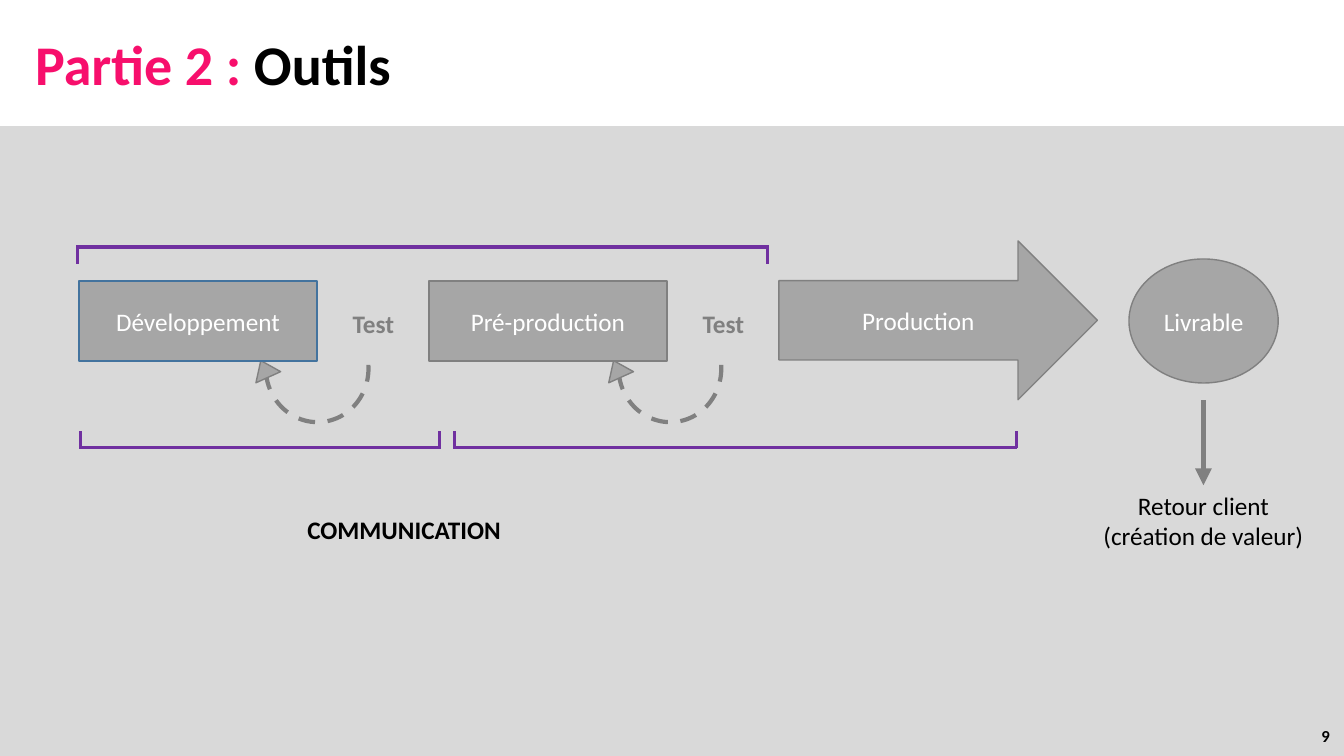
from lxml import etree
from pptx import Presentation
from pptx.dml.color import RGBColor
from pptx.enum import dml, shapes, text
from pptx.oxml.ns import qn
from pptx.util import Pt

COLORS = {"background": "D9D9D9", "box": "A6A6A6", "line": "808080", "dev": "43739E",
          "bracket": "7030A0", "pink": "F70F6C", "white": "FFFFFF", "black": "000000"}
RGB = {name: RGBColor.from_string(value) for name, value in COLORS.items()}
STEP = 250  # from one stage to the next
LOOP_STEP = 252

prs = Presentation()
prs.slide_width, prs.slide_height = Pt(960), Pt(540)
s = prs.slides.add_slide(prs.slide_layouts[6])
s.background.fill.solid()
s.background.fill.fore_color.rgb = RGB["background"]


def add_shape(kind, box, fill=None, line=None, width=1):
    sp = s.shapes.add_shape(kind, *map(Pt, box))
    sp.shadow.inherit = False
    if fill:
        sp.fill.solid()
        sp.fill.fore_color.rgb = RGB[fill]
    else:
        sp.fill.background()
    if line:
        sp.line.color.rgb = RGB[line]
        sp.line.width = Pt(width)
    else:
        sp.line.fill.background()
    return sp


def write(sp, lines, size=18, bold=False, align="CENTER", anchor="MIDDLE", wrap=True):
    """Fill a shape with paragraphs, each a list of (text, colour) runs."""
    tf = sp.text_frame
    tf.word_wrap = wrap
    tf.vertical_anchor = text.MSO_ANCHOR[anchor]
    for i, runs in enumerate(lines):
        p = tf.add_paragraph() if i else tf.paragraphs[0]
        p.alignment = text.PP_ALIGN[align]
        for words, color in runs:
            r = p.add_run()
            r.text = words
            r.font.name, r.font.size, r.font.bold = "Calibri", Pt(size), bold
            r.font.color.rgb = RGB[color]


# Header and slide number
add_shape(shapes.MSO_SHAPE.RECTANGLE, (0, 0, 960, 90), "white")
title = s.shapes.add_textbox(Pt(18), Pt(17.3), Pt(754), Pt(55.4))
write(title, [[("Partie 2 :", "pink"), (" Outils", "black")]], 40, True, "LEFT", "TOP")
number = s.shapes.add_textbox(Pt(741), Pt(511.2), Pt(216), Pt(28.8))
write(number, [[("9", "black")]], 12, True, "RIGHT")

# Feedback loops and their tests
for i in range(2):
    arc = add_shape(shapes.MSO_SHAPE.ARC, (188 + i * LOOP_STEP, 226.4, 77, 73.4),
                    line="line", width=3)
    arc.adjustments[0], arc.adjustments[1] = 162, 53.62
    arc.rotation = 86.2
    arc.line.dash_style = dml.MSO_LINE.DASH
    tip = add_shape(shapes.MSO_SHAPE.ISOSCELES_TRIANGLE,
                    (179.3 + i * LOOP_STEP, 257, 19.4, 13), "box", "line")
    tip.rotation = 335.7
    test = s.shapes.add_textbox(Pt(244.8 + i * STEP), Pt(216.7), Pt(44.6), Pt(28.8))
    write(test, [[("Test", "line")]], bold=True, align="LEFT", anchor="TOP", wrap=False)

# Stages
for label, kind, box, line in [
    ("Développement", "RECTANGLE", (56.4, 200.8, 170, 57), "dev"),
    ("Pré-production", "RECTANGLE", (56.4 + STEP, 200.8, 170, 57), "line"),
    ("Production", "RIGHT_ARROW", (56.4 + 2 * STEP, 172.1, 227.5, 113.4), "line"),
    ("Livrable", "OVAL", (806.4, 185, 106.6, 88.6), "line"),
]:
    stage = add_shape(shapes.MSO_SHAPE[kind], box, "box", line)
    write(stage, [[(label, "white")]])

# Customer feedback
feedback = add_shape(shapes.MSO_SHAPE.RECTANGLE, (780, 346.6, 159.2, 51), "background")
write(feedback, [[("Retour client", "black")], [("(création de valeur)", "black")]],
      anchor="TOP", wrap=False)
arrow = s.shapes.add_connector(shapes.MSO_CONNECTOR.STRAIGHT,
                               Pt(859.6), Pt(285.8), Pt(859.6), Pt(346.6))
arrow.end_connect(feedback, 0)
arrow.line.color.rgb = RGB["line"]
arrow.line.width = Pt(4)
etree.SubElement(arrow.line._get_or_add_ln(), qn("a:tailEnd"), type="triangle")
etree.SubElement(arrow._element.spPr, qn("a:effectLst"))

# Brackets: left, right, bar height, end height
for left, right, bar, end in [(55.4, 548, 176.4, 188.6),
                              (57.6, 314, 319.7, 308.2),
                              (324.7, 725.8, 319.7, 308.2)]:
    bracket = s.shapes.add_group_shape()
    for ends in [(left - 1, bar, right + 1, bar), (left, bar, left, end),
                 (right, bar, right, end)]:
        side = bracket.shapes.add_connector(shapes.MSO_CONNECTOR.STRAIGHT, *map(Pt, ends))
        side.line.color.rgb = RGB["bracket"]
        side.line.width = Pt(2.25)
        etree.SubElement(side._element.spPr, qn("a:effectLst"))

communication = s.shapes.add_textbox(Pt(212.4), Pt(363.6), Pt(154), Pt(28.8))
write(communication, [[("COMMUNICATION", "black")]], bold=True, align="LEFT",
      anchor="TOP", wrap=False)

prs.save("out.pptx")
